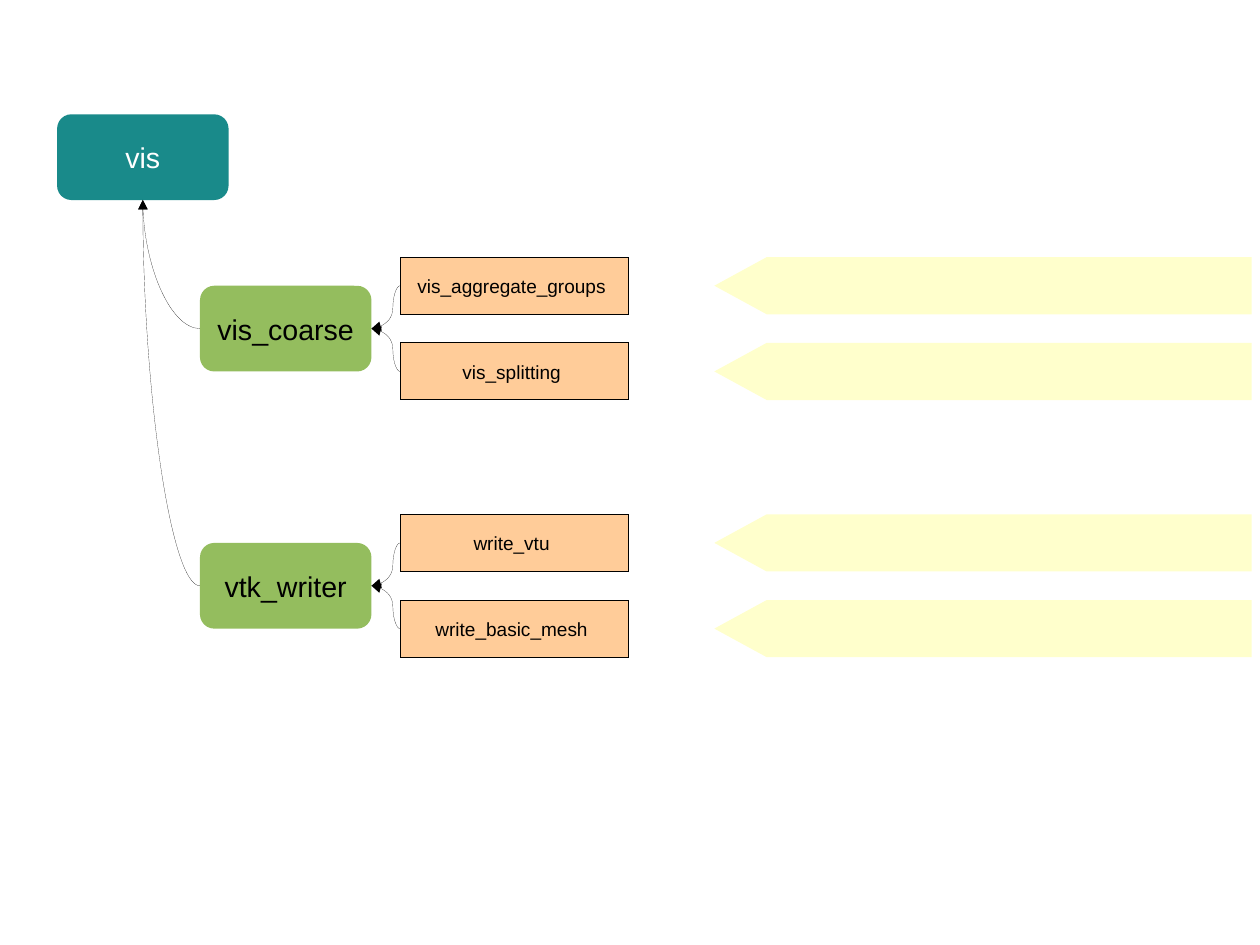
"""Module tree: vis with its two submodules and their routines."""
from pptx import Presentation
from pptx.dml.color import RGBColor
from pptx.enum import shapes, text
from pptx.oxml import ns, xmlchemy
from pptx.util import Pt

COLORS = {"teal": "198A8A", "green": "94BD5E", "orange": "FFCC99",
          "yellow": "FFFFCC", "black": "000000", "white": "FFFFFF"}
TREE = [("vis_coarse", 180, ["vis_aggregate_groups ", "vis_splitting "]),
        ("vtk_writer", 342, ["write_vtu ", "write_basic_mesh "])]
TOP, LEFT, BOTTOM, RIGHT = range(4)

prs = Presentation()
prs.slide_width, prs.slide_height = Pt(793.7), Pt(595.28)
slide = prs.slides.add_slide(prs.slide_layouts[6])
outlined = []


def add_box(kind, label, x, y, w, h, fill, color, size):
    s = slide.shapes.add_shape(kind, Pt(x), Pt(y), Pt(w), Pt(h))
    s.shadow.inherit = False
    s.fill.solid()
    s.fill.fore_color.rgb = RGBColor.from_string(COLORS[fill])
    s.line.fill.background()
    tf = s.text_frame
    tf.word_wrap = True
    tf.vertical_anchor = text.MSO_ANCHOR.MIDDLE
    p = tf.paragraphs[0]
    p.text = label
    p.alignment = text.PP_ALIGN.CENTER
    p.font.name, p.font.size = "Arial", Pt(size)
    p.font.color.rgb = RGBColor.from_string(COLORS[color])
    return s


def add_link(child, parent, site, preset, bend=None):
    c = slide.shapes.add_connector(shapes.MSO_CONNECTOR.CURVE, 0, 0, 0, 0)
    c.begin_connect(child, LEFT)
    c.end_connect(parent, site)
    c.line.color.rgb = RGBColor.from_string(COLORS["black"])
    sp_pr = c._element.spPr
    geom = sp_pr.find(ns.qn("a:prstGeom"))
    geom.set("prst", preset)
    if bend:
        guide = xmlchemy.OxmlElement("a:gd")
        guide.set("name", "adj1")
        guide.set("fmla", f"val {bend}")
        geom.find(ns.qn("a:avLst")).append(guide)
    tail = xmlchemy.OxmlElement("a:tailEnd")
    tail.set("type", "triangle")
    sp_pr.find(ns.qn("a:ln")).append(tail)
    sp_pr.append(xmlchemy.OxmlElement("a:effectLst"))
    outlined.append(c)


rounded = shapes.MSO_SHAPE.ROUNDED_RECTANGLE
root = add_box(rounded, "vis", 36, 72, 108, 54, "teal", "white", 18)

for module, module_y, routines in TREE:
    branch = add_box(rounded, module, 126, module_y, 108, 54, "green", "black", 18)
    add_link(branch, root, BOTTOM, "curvedConnector2")
    for i, routine in enumerate(routines):
        y = module_y - 18 + 54 * i
        leaf = add_box(shapes.MSO_SHAPE.RECTANGLE, routine, 252, y, 144, 36,
                       "orange", "black", 12)
        leaf.line.color.rgb = RGBColor.from_string(COLORS["black"])
        outlined.append(leaf)
        add_link(leaf, branch, RIGHT, "curvedConnector3", 24900)

        fb = slide.shapes.build_freeform(Pt(483), Pt(y + 36))
        fb.add_line_segments([(Pt(450), Pt(y + 18)), (Pt(483), Pt(y)),
                              (Pt(788.4), Pt(y)), (Pt(788.4), Pt(y + 36))])
        flag = fb.convert_to_shape()
        flag.shadow.inherit = False
        flag.fill.solid()
        flag.fill.fore_color.rgb = RGBColor.from_string(COLORS["yellow"])
        flag.line.fill.background()

for s in outlined:
    s._element.spPr.find(ns.qn("a:ln")).set("w", "0")

prs.save("out.pptx")
